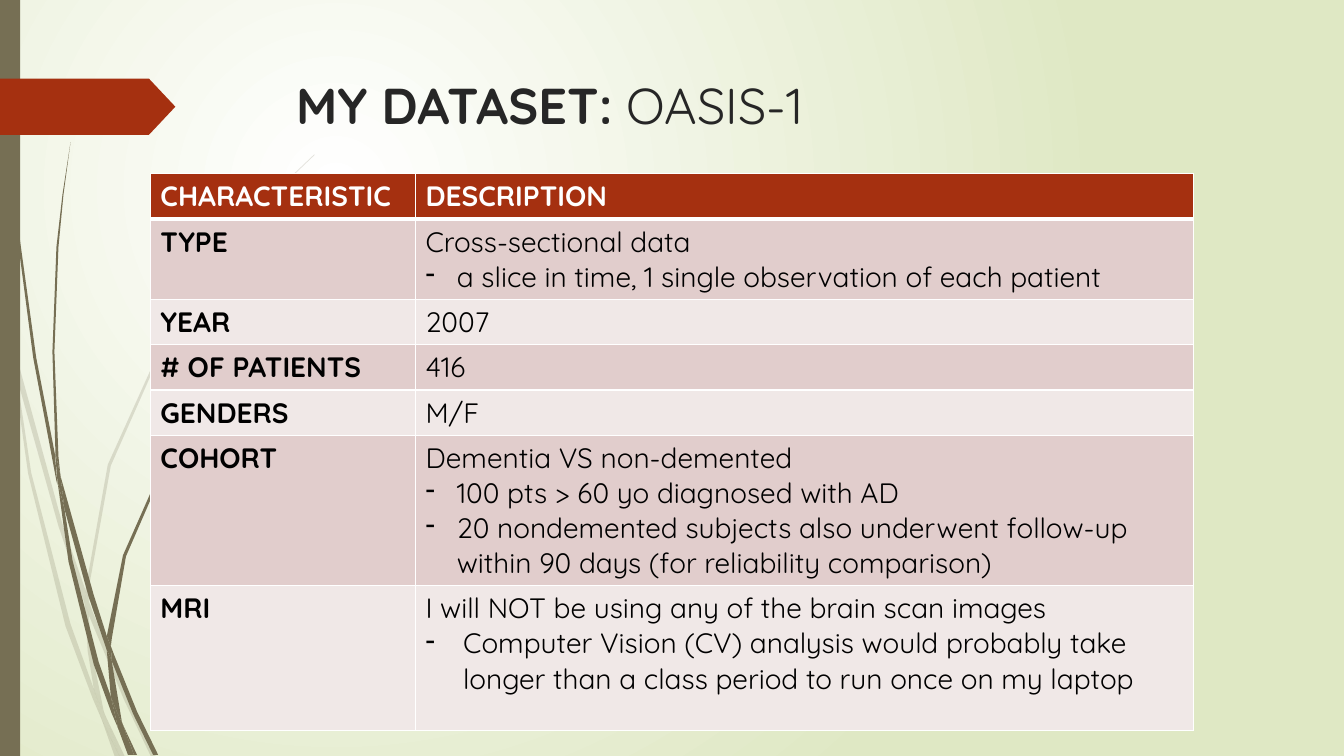
from lxml import etree
from pptx import Presentation
from pptx import util as u
from pptx.dml.color import RGBColor
from pptx.enum import shapes, text
from pptx.oxml import ns

FONT = "Quicksand"
OLIVE, RUST, WHITE, BLACK = "766F54", "A53010", "FFFFFF", "000000"
BANDS = ("E1CDCC", "F0E8E7")
INCH = 2.54

# Grass blades as outlines, in inches
FAINT_BLADES = [
    [(.11, 3.5), (.09, 3.22), (0, 2.82), (0, 2.99), (.1, 3.44)],
    [(.58, 5.22), (.84, 5.99), (.85, 5.86), (.62, 5.2), (.14, 3.45), (.17, 3.76)],
    [(.92, 6.07), (.88, 5.96), (.88, 6.1), (1.23, 6.94), (1.5, 7.51),
     (1.55, 7.51), (1.27, 6.92)],
    [(1.19, 7.51), (1.24, 7.51), (1.05, 7.11)],
    [(.93, 6.83), (.7, 6.19), (.31, 4.69), (.17, 3.76), (.11, 3.5), (.28, 4.7),
     (.65, 6.21), (.92, 6.93), (1.01, 7.14), (.99, 7.07)],
    [(.84, 5.99), (.87, 6.46), (.93, 6.83), (.96, 6.92), (1.05, 7.11),
     (1.03, 7.06), (.91, 6.46), (.88, 6.1), (.88, 6.08)],
    [(.88, 5.84), (1.1, 4.62), (1.6, 3.49), (2.29, 2.45), (2.68, 1.98),
     (2.9, 1.75), (3.12, 1.54), (3.12, 1.53), (2.89, 1.75), (2.68, 1.97),
     (2.28, 2.44), (1.58, 3.48), (1.07, 4.61), (.85, 5.84), (.85, 5.86),
     (.88, 5.96)],
    [(1.01, 7.14), (1.14, 7.51), (1.19, 7.51)],
    [(.88, 6.08), (.88, 6.1), (.88, 5.96), (.85, 5.86), (.84, 5.99)],
    [(.96, 6.92), (.93, 6.83), (.99, 7.07), (1.01, 7.14), (1.19, 7.51),
     (1.05, 7.11)],
]
DARK_BLADES = [
    [(.07, 1.1), (.17, 2.33), (.33, 3.55), (.56, 4.77), (.57, 4.81), (.55, 4.57),
     (.55, 4.53), (.36, 3.55), (.19, 2.32), (.08, 1.09), (.05, .48), (.04, 0),
     (.03, 0), (.04, .48)],
    [(.88, 5.92), (1.06, 6.45), (1.06, 6.33), (1.06, 6.31), (.93, 5.9),
     (.6, 4.72), (.64, 5.05)],
    [(1.13, 6.49), (1.1, 6.41), (1.11, 6.56), (1.32, 7.08), (1.52, 7.49),
     (1.57, 7.49), (1.36, 7.06)],
    [(1.1, 6.91), (.98, 6.57), (.72, 5.56), (.64, 5.05), (.57, 4.77), (.68, 5.57),
     (.93, 6.59), (1.11, 7.08), (1.17, 7.22), (1.16, 7.17)],
    [(.6, 4.72), (.58, 4.53), (.54, 3.49), (.58, 2.45), (.63, 1.93), (.7, 1.41),
     (.62, 1.93), (.56, 2.45), (.52, 3.49), (.55, 4.49)],
    [(1.33, 7.49), (1.36, 7.49), (1.22, 7.19)],
    [(.57, 4.77), (.64, 5.05), (.6, 4.72), (.55, 4.49), (.55, 4.53)],
    [(1.11, 6.33), (1.25, 5.52), (1.58, 4.76), (2.05, 4.06), (2.31, 3.74),
     (2.45, 3.59), (2.61, 3.44), (2.6, 3.44), (2.45, 3.58), (2.31, 3.73),
     (2.04, 4.05), (1.56, 4.74), (1.22, 5.51), (1.06, 6.31), (1.1, 6.41)],
    [(1.17, 7.22), (1.27, 7.49), (1.31, 7.49)],
    [(1.06, 6.45), (1.1, 6.91), (1.16, 7.06), (1.22, 7.19), (1.21, 7.16),
     (1.11, 6.56), (1.09, 6.51)],
    [(1.06, 6.45), (1.09, 6.51), (1.11, 6.56), (1.1, 6.41), (1.06, 6.31),
     (1.06, 6.33)],
    [(1.16, 7.06), (1.1, 6.91), (1.16, 7.17), (1.17, 7.22), (1.3, 7.49),
     (1.33, 7.49), (1.22, 7.19)],
]

# Table rows: height, characteristic, description, bullets, bullet indent
ROWS = [
    (1.12, "CHARACTERISTIC", "DESCRIPTION", [], 0),
    (1.95, "TYPE", "Cross-sectional data",
     ["a slice in time, 1 single observation of each patient"], .79),
    (1.14, "YEAR", "2007", [], 0),
    (1.14, "# OF PATIENTS", "416", [], 0),
    (1.14, "GENDERS", "M/F", [], 0),
    (3.65, "COHORT", "Dementia VS non-demented",
     ["100 pts > 60 yo diagnosed with AD",
      "20 nondemented subjects also underwent follow-up within 90 days "
      "(for reliability comparison)"], .79),
    (3.65, "MRI", "I will NOT be using any of the brain scan images",
     ["Computer Vision (CV) analysis would probably take longer than a class "
      "period to run once on my laptop"], .95),
]


def colour(value):
    return RGBColor.from_string(value)


def add_xml(parent, tag, **attributes):
    return etree.SubElement(parent, ns.qn(tag), attributes)


class SlideMaker:
    def __init__(self, deck):
        self.page = deck.slides.add_slide(deck.slide_layouts[5])

    def background(self, inner, outer):
        fill = self.page.background.fill
        fill.gradient()
        for stop, value in zip(fill.gradient_stops, (inner, outer)):
            stop.color.rgb = colour(value)
        gradient = self.page.element.find(".//" + ns.qn("a:gradFill"))
        gradient.remove(gradient.find(ns.qn("a:lin")))
        circle = add_xml(gradient, "a:path", path="circle")
        add_xml(circle, "a:fillToRect", l="50000", t="50000", r="100000", b="100000")

    def paint(self, shape, value, opacity=100):
        shape.shadow.inherit = False
        shape.line.fill.background()
        shape.fill.solid()
        shape.fill.fore_color.rgb = colour(value)
        if opacity < 100:
            tone = shape.element.spPr.find(".//" + ns.qn("a:srgbClr"))
            add_xml(tone, "a:alpha", val=str(opacity * 1000))

    def block(self, kind, left, top, width, height, value):
        shape = self.page.shapes.add_shape(
            kind, u.Cm(left), u.Cm(top), u.Cm(width), u.Cm(height))
        self.paint(shape, value)
        return shape

    def grass(self, blades, opacity):
        group = self.page.shapes.add_group_shape()
        for blade in blades:
            outline = [(u.Cm(x * INCH), u.Cm(y * INCH)) for x, y in blade]
            builder = group.shapes.build_freeform(*outline[0])
            builder.add_line_segments(outline[1:])
            self.paint(builder.convert_to_shape(), OLIVE, opacity)

    def title(self, spans, left, top, width, height):
        box = self.page.shapes.title
        box.element.getparent().append(box.element)  # in front of the backdrop
        box.left, box.top, box.width, box.height = map(u.Cm, (left, top, width, height))
        frame = box.text_frame
        frame.auto_size = text.MSO_AUTO_SIZE.NONE
        frame.vertical_anchor = text.MSO_ANCHOR.TOP
        para = frame.paragraphs[0]
        para.alignment = text.PP_ALIGN.LEFT
        self.style(para, 36, "262626")
        for words, bold in spans:
            span = para.add_run()
            span.text, span.font.bold = words, bold

    def style(self, para, size, value, bold=None):
        font = para.font
        font.name, font.size, font.bold = FONT, u.Pt(size), bold
        font.color.rgb = colour(value)

    def cell(self, cell, lines, fill, value, bold, base_line, indent=0):
        frame = cell.text_frame
        for number, words in enumerate(lines):
            para = frame.add_paragraph() if number else frame.paragraphs[0]
            para.text = words
            self.style(para, 20, value, bold)
            if number:
                props = para._p.get_or_add_pPr()
                props.set("marL", str(u.Cm(indent)))
                props.set("indent", str(-u.Cm(indent)))
                props.insert(0, etree.Element(ns.qn("a:buFontTx")))
                props.insert(1, etree.Element(ns.qn("a:buChar"), char="-"))
        # Borders come before the fill
        props = cell._tc.get_or_add_tcPr()
        for side in "LRTB":
            points = base_line if side == "B" else 1
            line = add_xml(props, f"a:ln{side}", w=str(u.Pt(points)))
            add_xml(add_xml(line, "a:solidFill"), "a:srgbClr", val=WHITE)
        cell.fill.solid()
        cell.fill.fore_color.rgb = colour(fill)

    def table(self, rows, left, top, widths):
        heights = [row[0] for row in rows]
        table = self.page.shapes.add_table(
            len(rows), len(widths), u.Cm(left), u.Cm(top),
            u.Cm(sum(widths)), u.Cm(sum(heights))).table
        for column, width in zip(table.columns, widths):
            column.width = u.Cm(width)
        for number, (height, name, lead, bullets, indent) in enumerate(rows):
            table.rows[number].height = u.Cm(height)
            head = number == 0
            fill = RUST if head else BANDS[(number - 1) % 2]
            value = WHITE if head else BLACK
            base_line = 3 if head else 1
            self.cell(table.cell(number, 0), [name], fill, value, True, base_line)
            self.cell(table.cell(number, 1), [lead, *bullets], fill, value, head,
                      base_line, indent)


def main():
    deck = Presentation()
    deck.slide_width, deck.slide_height = u.Cm(33.87), u.Cm(19.05)
    maker = SlideMaker(deck)

    # Backdrop
    maker.background(WHITE, "DFE8C4")
    maker.grass(FAINT_BLADES, 20)
    maker.grass(DARK_BLADES, 100)
    maker.block(shapes.MSO_SHAPE.RECTANGLE, 0, 0, .51, 19.05, OLIVE)
    arrow = maker.block(shapes.MSO_SHAPE.PENTAGON, 0, 1.98, 4.42, 1.42, RUST)
    arrow.adjustments[0] = .47

    # Title and table
    maker.title([("MY DATASET: ", True), ("OASIS-1", False)], 7.21, 1.73, 24.77, 3.56)
    maker.table(ROWS, 3.79, 4.38, (6.68, 19.6))

    deck.save("out.pptx")


if __name__ == "__main__":
    main()
